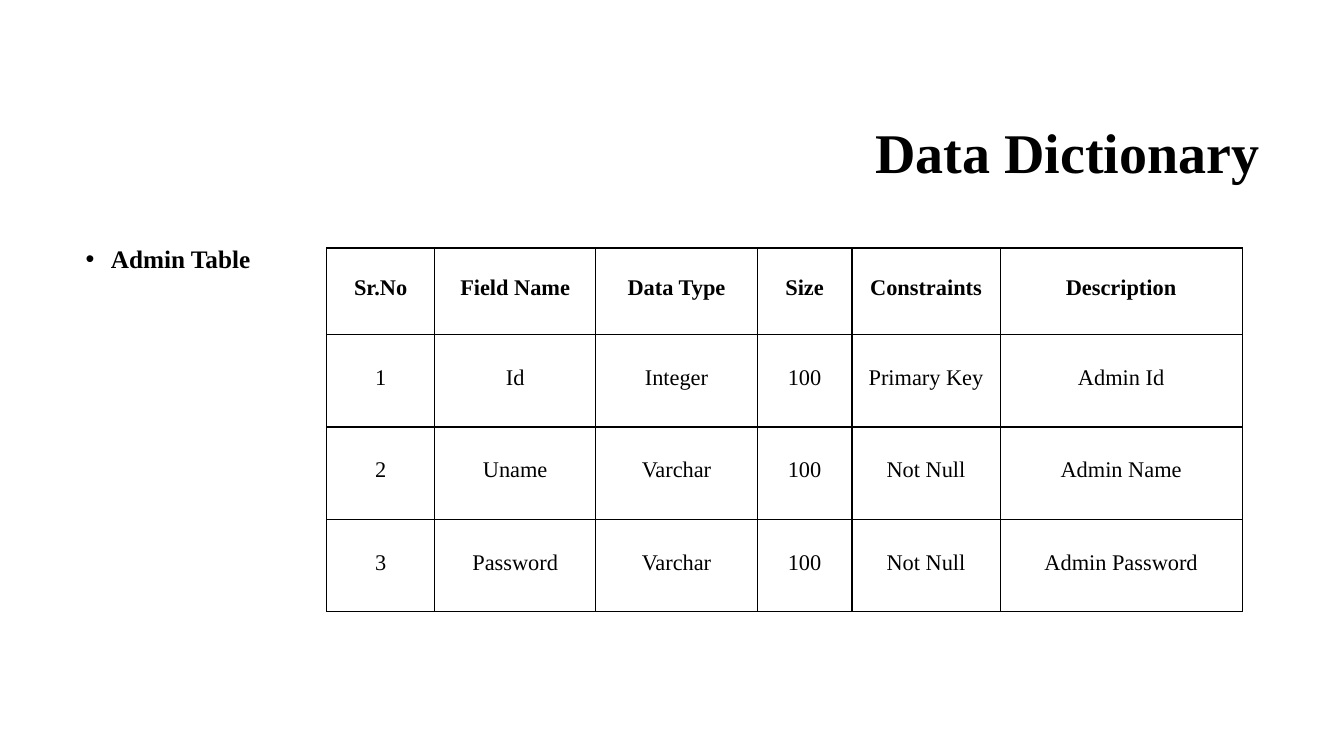
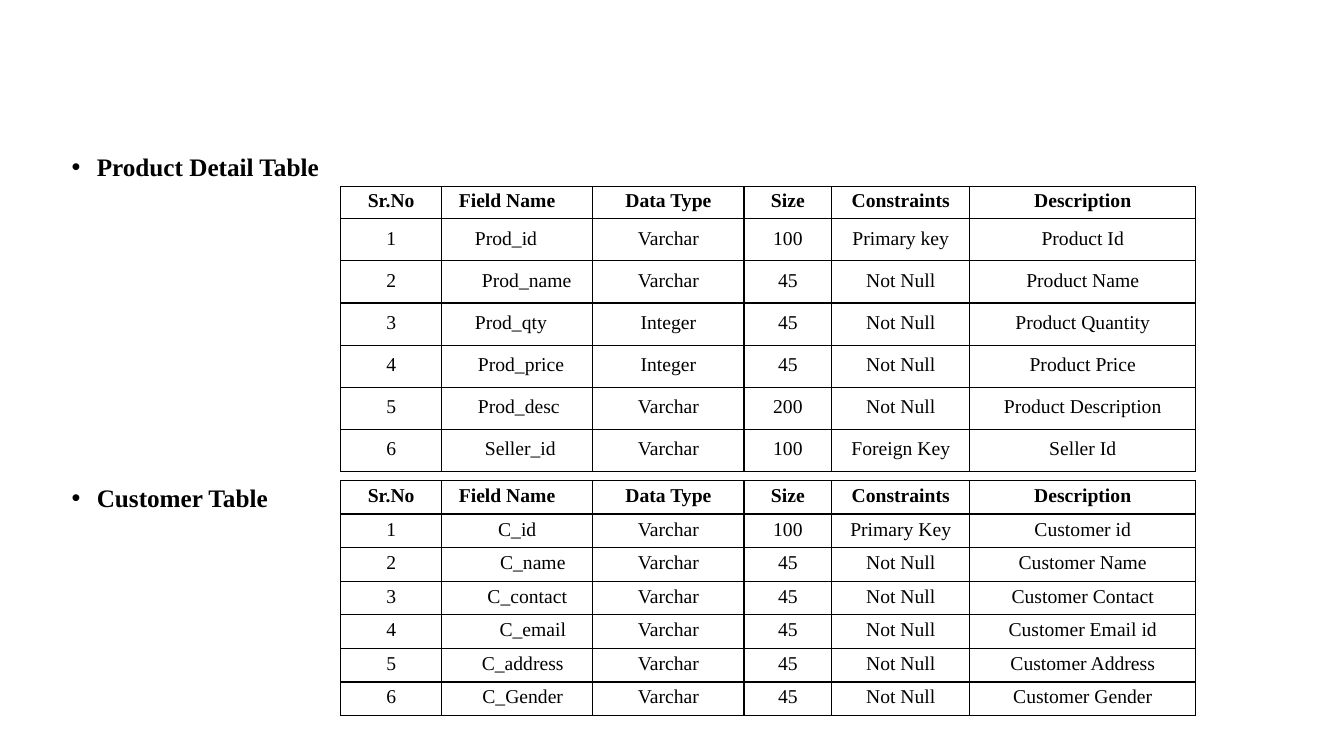
from lxml.etree import SubElement
from pptx import Presentation
from pptx.dml.color import RGBColor
from pptx.enum.text import MSO_ANCHOR as Anchor, MSO_AUTO_SIZE as AutoSize, PP_ALIGN as Align
from pptx.oxml.ns import qn
from pptx.util import Pt

PX = 9144
BLACK = RGBColor(0, 0, 0)
WHITE = RGBColor(255, 255, 255)
FONT = "Times New Roman"
TITLE_AND_CONTENT = 1

HEADINGS = ("Sr.No", "Field Name", "Data Type", "Size", "Constraints", "Description")
FIELD_COLUMN = 1
WIDE_COLUMNS = (107, 160, 160, 94, 147, 240)
NARROW_COLUMNS = (100, 150, 150, 87, 137, 224)

ADMIN_FIELDS = (
    ("Id", "Integer", "100", "Primary Key", "Admin Id"),
    ("Uname", "Varchar", "100", "Not Null", "Admin Name"),
    ("Password", "Varchar", "100", "Not Null", "Admin Password"),
)
PRODUCT_FIELDS = (
    ("Prod_id", "Varchar", "100", "Primary key", "Product Id"),
    ("Prod_name", "Varchar", "45", "Not Null", "Product Name"),
    ("Prod_qty", "Integer", "45", "Not Null", "Product Quantity"),
    ("Prod_price", "Integer", "45", "Not Null", "Product Price"),
    ("Prod_desc", "Varchar", "200", "Not Null", "Product Description"),
    ("Seller_id", "Varchar", "100", "Foreign Key", "Seller Id"),
)
CUSTOMER_FIELDS = (
    ("C_id", "Varchar", "100", "Primary Key", "Customer id"),
    ("C_name", "Varchar", "45", "Not Null", "Customer Name"),
    ("C_contact", "Varchar", "45", "Not Null", "Customer Contact"),
    ("C_email", "Varchar", "45", "Not Null", "Customer Email id"),
    ("C_address", "Varchar", "45", "Not Null", "Customer Address"),
    ("C_Gender", "Varchar", "45", "Not Null", "Customer Gender"),
)
PRODUCT_INSETS = (33, 40, 33, 36, 36, 43)
CUSTOMER_INSETS = (0, 31, 20, 31, 11, 11)


def emu(px):
    return round(px * PX)


def place(shape, left, top, width, height):
    shape.left, shape.top = emu(left), emu(top)
    shape.width, shape.height = emu(width), emu(height)


def style_runs(paragraph, size, bold):
    for run in paragraph.runs:
        run.font.name = FONT
        run.font.size = Pt(size)
        run.font.bold = bold
        run.font.color.rgb = BLACK


def add_slide(deck):
    slide = deck.slides.add_slide(deck.slide_layouts[TITLE_AND_CONTENT])
    slide.background.fill.solid()
    slide.background.fill.fore_color.rgb = WHITE
    return slide


def write_title(slide, text):
    title = slide.shapes.title
    place(title, 317, 84, 942, 141)
    title.text_frame.text = text
    title.text_frame.vertical_anchor = Anchor.MIDDLE
    title.text_frame.auto_size = AutoSize.NONE
    heading = title.text_frame.paragraphs[0]
    heading.alignment = Align.RIGHT
    heading.line_spacing = 0.9
    style_runs(heading, 40, True)


def write_table_names(slide, box, names, gap=0):
    body = slide.placeholders[1]
    place(body, *box)
    frame = body.text_frame
    frame.text = "\n".join(names)
    frame.auto_size = AutoSize.NONE
    for index, name in enumerate(frame.paragraphs):
        properties = name._p.get_or_add_pPr()
        properties.set("marL", str(emu(25)))
        properties.set("indent", str(emu(-25)))
        name.line_spacing = 0.9
        name.space_before = Pt(gap if index else 0)
        style_runs(name, 18, True)


def add_borders(cell):
    properties = cell._tc.get_or_add_tcPr()
    for side in ("a:lnL", "a:lnR", "a:lnT", "a:lnB"):
        border = SubElement(properties, qn(side), w=str(Pt(1)))
        ink = SubElement(border, qn("a:solidFill"))
        SubElement(ink, qn("a:srgbClr"), val=str(BLACK))


def write_cell(cell, text, size, bold):
    cell.margin_left = cell.margin_right = cell.margin_top = cell.margin_bottom = 0
    cell.vertical_anchor = Anchor.MIDDLE
    add_borders(cell)
    cell.fill.background()
    cell.text_frame.text = text
    entry = cell.text_frame.paragraphs[0]
    entry.alignment = Align.CENTER
    entry.line_spacing = Pt(13.5)
    entry.space_after = Pt(8)
    style_runs(entry, size, bold)


def add_dictionary(slide, left, top, height, header, columns, fields, size):
    rows = [HEADINGS]
    rows += [(str(number), *field) for number, field in enumerate(fields, 1)]
    frame = slide.shapes.add_table(
        len(rows), len(columns), emu(left), emu(top), emu(sum(columns)), emu(height))
    table = frame.table
    table.first_row = table.horz_banding = False
    for column, width in zip(table.columns, columns):
        column.width = emu(width)
    for index, values in enumerate(rows):
        table.rows[index].height = emu((height - header) / len(fields) if index else header)
        for column, value in enumerate(values):
            write_cell(table.cell(index, column), value, size, index == 0)
    return table


def inset_fields(table, insets, alignment):
    table.cell(0, FIELD_COLUMN).margin_right = emu(20)
    for row, inset in enumerate(insets, 1):
        cell = table.cell(row, FIELD_COLUMN)
        cell.margin_left = emu(inset)
        cell.text_frame.paragraphs[0].alignment = alignment


def build_admin_slide(deck):
    slide = add_slide(deck)
    write_title(slide, "Data Dictionary")
    write_table_names(slide, (75, 240, 1183, 440), ["Admin Table"])
    add_dictionary(slide, 324, 246, 361, 86, WIDE_COLUMNS, ADMIN_FIELDS, 16)


def build_shop_slide(deck):
    slide = add_slide(deck)
    unused_title = slide.shapes.title.element
    unused_title.getparent().remove(unused_title)
    write_table_names(
        slide, (61, 148, 1198, 587), ["Product Detail Table", "Customer Table"], gap=217)
    product = add_dictionary(slide, 338, 185, 283, 32, NARROW_COLUMNS, PRODUCT_FIELDS, 14)
    inset_fields(product, PRODUCT_INSETS, Align.LEFT)
    customer = add_dictionary(slide, 338, 477, 233, 33, NARROW_COLUMNS, CUSTOMER_FIELDS, 14)
    inset_fields(customer, CUSTOMER_INSETS, Align.CENTER)


def main():
    deck = Presentation()
    deck.slide_width, deck.slide_height = emu(1333), emu(750)
    build_admin_slide(deck)
    build_shop_slide(deck)
    deck.save("out.pptx")


if __name__ == "__main__":
    main()
